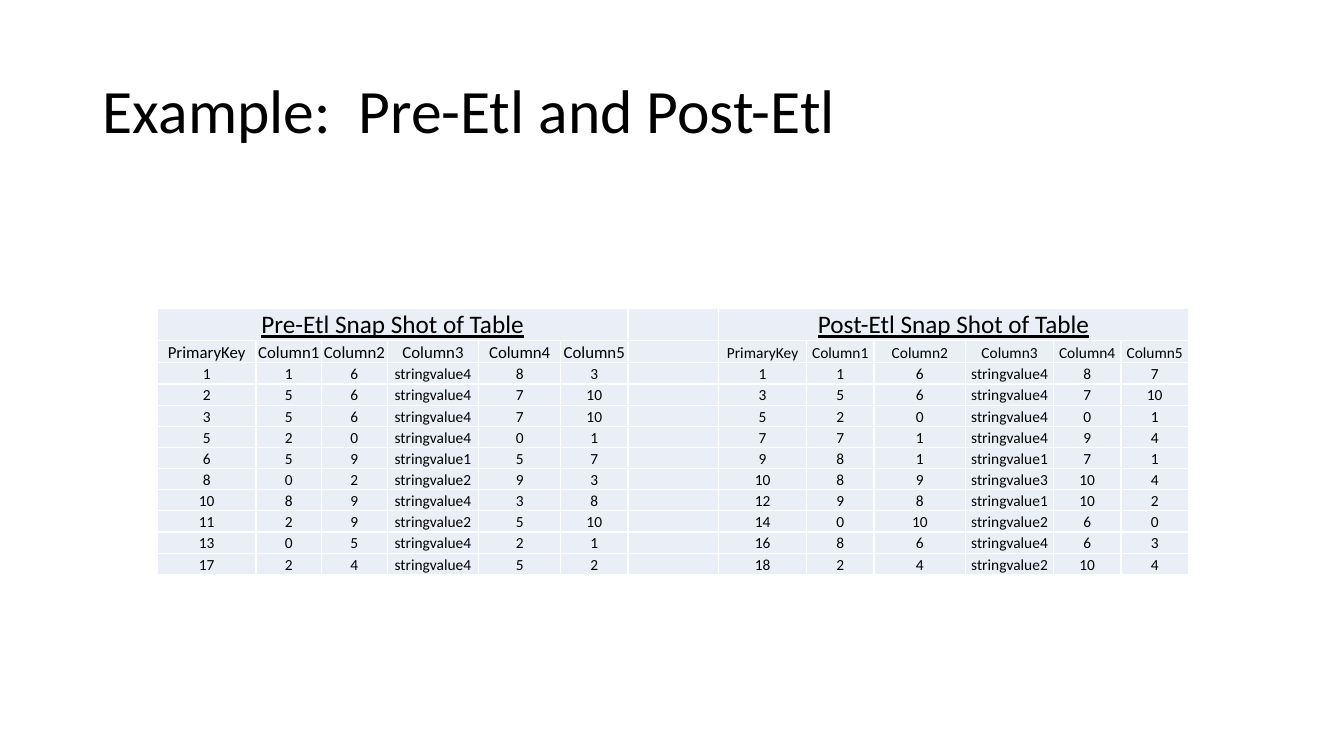
from lxml import etree
from pptx import Presentation
from pptx.dml.color import RGBColor
from pptx.enum.text import MSO_ANCHOR as Anchor, PP_ALIGN as Align
from pptx.oxml import parse_xml
from pptx.oxml.ns import nsdecls, qn
from pptx.util import Inches, Pt

COLORS = {"text": "000000", "cell": "EAEFF7", "border": "FFFFFF"}
FONT = "Calibri"


def format_text(paragraph, size, underline=None):
    values = {"name": FONT, "size": Pt(size), "underline": underline}
    for run in paragraph.runs:
        for name, value in values.items():
            setattr(run.font, name, value)
        run.font.color.rgb = RGBColor.from_string(COLORS["text"])


presentation = Presentation()
presentation.slide_width = Inches(13.33)
presentation.slide_height = Inches(7.5)
slide = presentation.slides.add_slide(presentation.slide_layouts[5])

# Title
title = slide.shapes.title
title_box = {"left": 0.92, "top": 0.4, "width": 11.5, "height": 1.45}
for name, value in title_box.items():
    setattr(title, name, Inches(value))
title.text_frame.text = "Example:  Pre-Etl and Post-Etl"
title.text_frame.vertical_anchor = Anchor.MIDDLE
paragraph = title.text_frame.paragraphs[0]
paragraph.alignment = Align.LEFT
paragraph.line_spacing = 0.9
format_text(paragraph, 44)

# Snapshot data: primary key, then Column1 to Column5
headers = ["PrimaryKey"] + [f"Column{number}" for number in range(1, 6)]
pre_etl = [
    (1, 1, 6, "stringvalue4", 8, 3),
    (2, 5, 6, "stringvalue4", 7, 10),
    (3, 5, 6, "stringvalue4", 7, 10),
    (5, 2, 0, "stringvalue4", 0, 1),
    (6, 5, 9, "stringvalue1", 5, 7),
    (8, 0, 2, "stringvalue2", 9, 3),
    (10, 8, 9, "stringvalue4", 3, 8),
    (11, 2, 9, "stringvalue2", 5, 10),
    (13, 0, 5, "stringvalue4", 2, 1),
    (17, 2, 4, "stringvalue4", 5, 2),
]
post_etl = [
    (1, 1, 6, "stringvalue4", 8, 7),
    (3, 5, 6, "stringvalue4", 7, 10),
    (5, 2, 0, "stringvalue4", 0, 1),
    (7, 7, 1, "stringvalue4", 9, 4),
    (9, 8, 1, "stringvalue1", 7, 1),
    (10, 8, 9, "stringvalue3", 10, 4),
    (12, 9, 8, "stringvalue1", 10, 2),
    (14, 0, 10, "stringvalue2", 6, 0),
    (16, 8, 6, "stringvalue4", 6, 3),
    (18, 2, 4, "stringvalue2", 10, 4),
]
snapshots = [
    # first column, heading, header size, rows
    (0, "Pre-Etl Snap Shot of Table", 12, pre_etl),
    (7, "Post-Etl Snap Shot of Table", 11, post_etl),
]

# Table grid
column_widths = [0.98, 0.65, 0.65, 0.91, 0.81, 0.67, 0.9,
                 0.87, 0.67, 0.91, 0.87, 0.67, 0.67]
row_heights = [0.32, 0.22] + [0.21] * len(pre_etl)
table = slide.shapes.add_table(
    len(row_heights), len(column_widths), Inches(1.56), Inches(3.06),
    Inches(sum(column_widths)), Inches(sum(row_heights))).table
for column, width in zip(table.columns, column_widths):
    column.width = Inches(width)
for row, height in zip(table.rows, row_heights):
    row.height = Inches(height)

# Cell fill, margins and borders
cell_format = {
    "margin_left": Inches(0.01), "margin_right": Inches(0.01),
    "margin_top": Inches(0.01), "margin_bottom": 0,
    "vertical_anchor": Anchor.BOTTOM,
}
for cell in table.iter_cells():
    for name, value in cell_format.items():
        setattr(cell, name, value)
    cell.fill.solid()
    cell.fill.fore_color.rgb = RGBColor.from_string(COLORS["cell"])
    properties = cell._tc.get_or_add_tcPr()
    for index, side in enumerate(("lnL", "lnR", "lnT", "lnB")):
        properties.insert(index, parse_xml(
            f'<a:{side} {nsdecls("a")} w="12700"><a:solidFill>'
            f'<a:srgbClr val="{COLORS["border"]}"/></a:solidFill></a:{side}>'))
    # Small end mark keeps empty cells from stretching their row
    etree.SubElement(cell.text_frame.paragraphs[0]._p,
                     qn("a:endParaRPr"), sz="1100")

# Snapshot headings, headers and values
for first_column, heading, header_size, rows in snapshots:
    table.cell(0, first_column).merge(table.cell(0, first_column + 5))
    for row_index, values in enumerate([(heading,), headers] + rows):
        size = {0: 18, 1: header_size}.get(row_index, 11)
        for offset, value in enumerate(values):
            cell = table.cell(row_index, first_column + offset)
            paragraph = cell.text_frame.paragraphs[0]
            paragraph.add_run().text = str(value)
            paragraph.alignment = Align.CENTER
            format_text(paragraph, size, underline=row_index == 0)

presentation.save("out.pptx")
